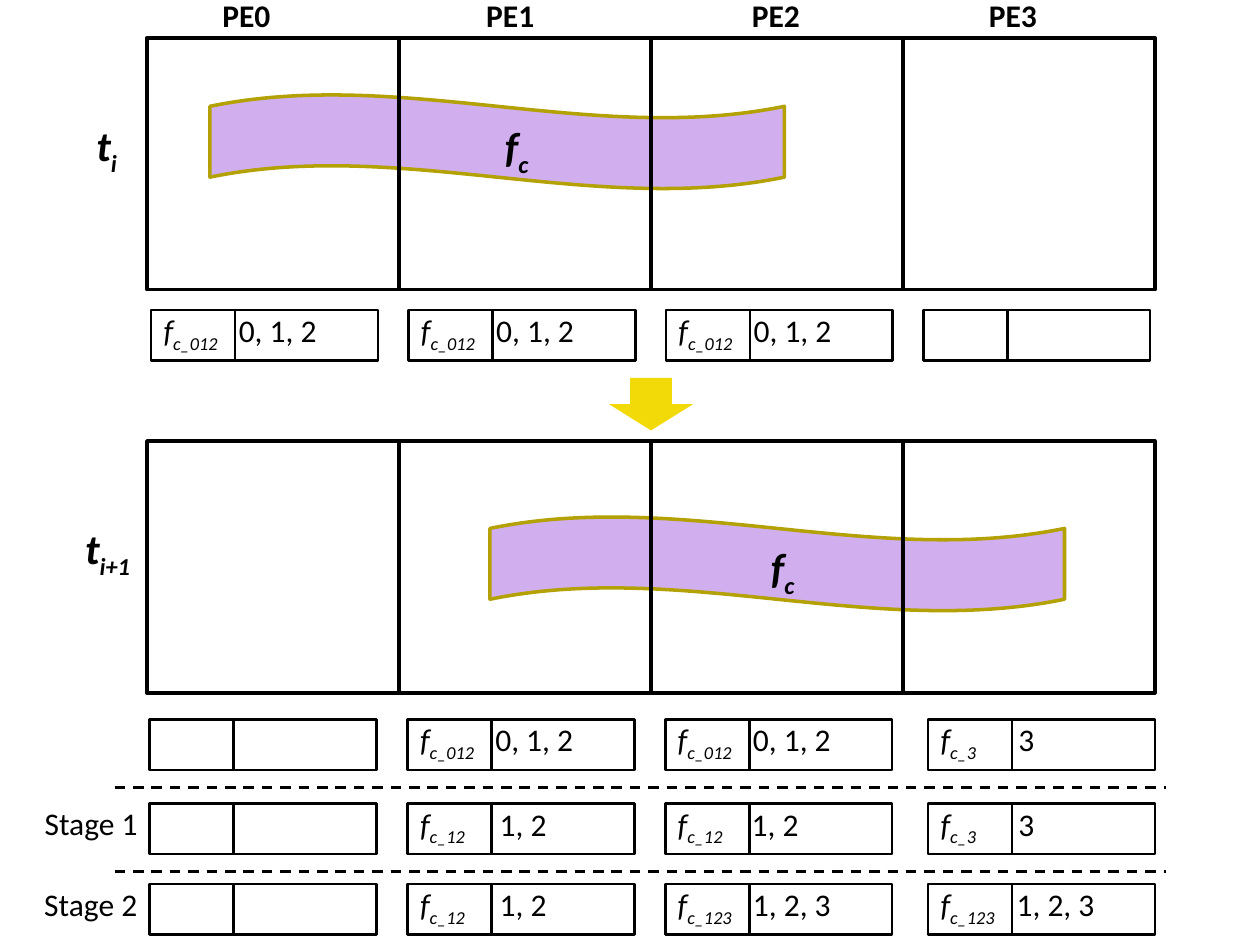
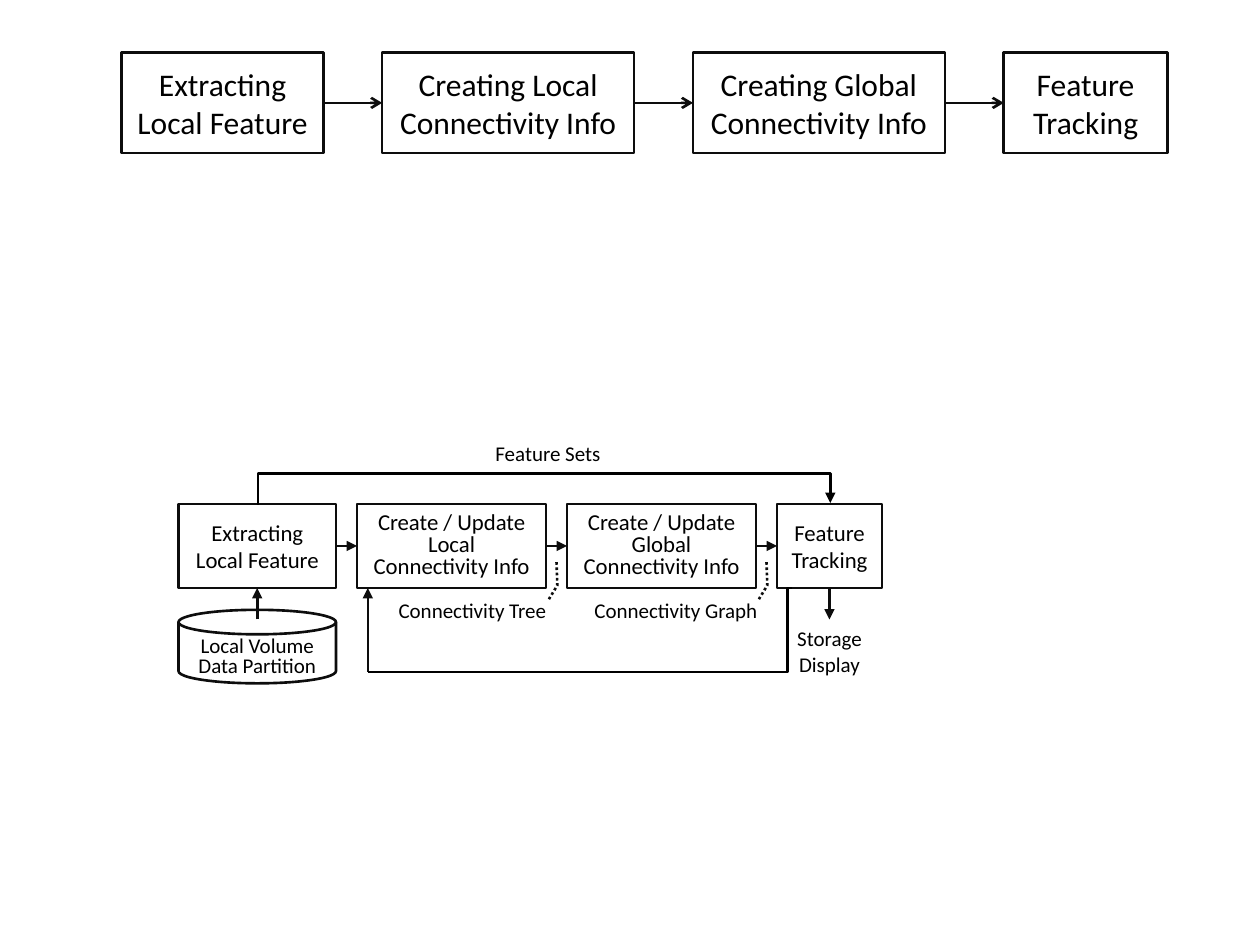
"""Build two slides: feature tracking across processors and its pipeline."""
from lxml import etree
from pptx import Presentation
from pptx.dml.color import RGBColor
from pptx.enum import dml, shapes, text
from pptx.oxml import ns
from pptx.util import Pt

BLACK = RGBColor(0x00, 0x00, 0x00)
INK = RGBColor(0x0D, 0x0D, 0x0D)
WHITE = RGBColor(0xFF, 0xFF, 0xFF)
LILAC = RGBColor(0xD1, 0xAE, 0xED)
OLIVE = RGBColor(0xB3, 0xA1, 0x06)
YELLOW = RGBColor(0xF2, 0xD9, 0x08)
KIND = shapes.MSO_SHAPE
STRAIGHT, ELBOW = shapes.MSO_CONNECTOR.STRAIGHT, shapes.MSO_CONNECTOR.ELBOW
CENTER, MIDDLE = text.PP_ALIGN.CENTER, text.MSO_ANCHOR.MIDDLE
GROW = text.MSO_AUTO_SIZE.SHAPE_TO_FIT_TEXT
DASH, DOTS = dml.MSO_LINE.DASH, dml.MSO_LINE.ROUND_DOT

PANEL_X, PANEL = 84, 144
STEPS = [
    {"top": 21.6, "wave": (120, 54), "feature": (281.5, 65.5), "time": (48, 64.8, ("t", "i"))},
    {"top": 252, "wave": (280, 295.2), "feature": (433.5, 306), "time": (41.5, 295.2, ("t", "i+1"))},
]
HEADINGS = [("PE0", 120), ("PE1", 270.8), ("PE2", 422.6), ("PE3", 558)]
TOP_COLUMNS = [86.4, 233.5, 380.6, 527.7]
LOW_COLUMNS = [85.6, 233, 380.2, 530.4]
ALL = ("c_012", "0, 1, 2", 43)
LAST = ("c_3", "3", 44.5)
RECORD_ROWS = [
    (177.2, TOP_COLUMNS, [ALL, ALL, ALL, None]),
    (411.2, LOW_COLUMNS, [None, ALL, ALL, LAST]),
    (459.2, LOW_COLUMNS, [None, ("c_12", "1, 2", 45.5), ("c_12", "1, 2", 42.3), LAST]),
    (505.2, LOW_COLUMNS, [None, ("c_12", "1, 2", 45.5), ("c_123", "1, 2, 3", 43),
                          ("c_123", "1, 2, 3", 43.5)]),
]
RECORD_W, RECORD_H, KEY_W = 129.6, 28.8, 48
STAGES = [("Stage 1", 18.4, 455.9), ("Stage 2", 18.2, 502)]
DIVIDERS = [450, 498]

EXTRACT, TRACK = ["Extracting", "Local Feature"], ["Feature", "Tracking"]
PIPELINES = [
    {"x": 69.6, "y": 30, "h": 57.6, "gap": 33.6, "size": 18, "head": "arrow", "fill": None,
     "boxes": [(115.2, EXTRACT, 1), (144, ["Creating Local Connectivity Info"], 1),
               (144, ["Creating Global Connectivity Info"], 1), (93.6, TRACK, 1)]},
    {"x": 102, "y": 288, "h": 48, "gap": 12, "size": 13, "head": "triangle", "fill": WHITE,
     "boxes": [(90, EXTRACT, 1),
               (108, ["Create / Update Local", "Connectivity Info"], 0.8),
               (108, ["Create / Update Global", "Connectivity Info"], 0.8),
               (60, TRACK, 1)]},
]
NOTES = [
    (276, 248.4, 96, ["Feature Sets"], None),
    (216, 337.7, 108, ["Connectivity Tree"], CENTER),
    (324, 337.7, 124.6, ["Connectivity Graph"], CENTER),
    (444, 354.2, 60, ["Storage", "Display"], CENTER),
]
VERTICAL_ARROWS = [(147, 354, 336), (474, 336, 354), (210.2, 384, 336)]
CALLOUT_X = [250.8, 370.8]
CALLOUT_BENDS = [0.5, -0.31, 0.83, -0.41, 1.42, -0.4]


def apply(target, values):
    for name, value in values.items():
        setattr(target, name, value)


def box(parent, kind, x, y, w, h, fill=None, line=INK, width=1.5):
    s = parent.add_shape(kind, Pt(x), Pt(y), Pt(w), Pt(h))
    s.shadow.inherit = False
    for part, color in ((s.fill, fill), (s.line.fill, line)):
        if color is None:
            part.background()
        else:
            part.solid()
            part.fore_color.rgb = color
    if line is not None:
        s.line.width = Pt(width)
    return s


def write(s, paragraphs, size, align=None, spacing=1, frame=None, **font):
    tf = s.text_frame
    apply(tf, {"word_wrap": True, **(frame or {})})
    for i, pieces in enumerate(paragraphs):
        p = tf.add_paragraph() if i else tf.paragraphs[0]
        apply(p, {"alignment": align, "line_spacing": spacing})
        for level, piece in enumerate((pieces,) if isinstance(pieces, str) else pieces):
            r = p.add_run()
            r.text = piece
            apply(r.font, {"name": "Calibri", "size": Pt(size), **font})
            r.font.color.rgb = BLACK
            if level == 1:
                r.font._element.set("baseline", "-25000")
            elif level == 2:
                r.font.italic = False
    return tf


def label(parent, x, y, w, h, paragraphs, size, wrap=False, **style):
    s = parent.add_textbox(Pt(x), Pt(y), Pt(w), Pt(h))
    return write(s, paragraphs, size, frame={"word_wrap": wrap, "auto_size": GROW}, **style)


def link(parent, x1, y1, x2, y2, color=INK, head=None, dash=None, kind=STRAIGHT, bend=None):
    s = parent.add_connector(kind, Pt(x1), Pt(y1), Pt(x2), Pt(y2))
    s.line.color.rgb = color
    s.line.width = Pt(1.5)
    if dash is not None:
        s.line.dash_style = dash
    if head:
        etree.SubElement(s.line._get_or_add_ln(), ns.qn("a:tailEnd"), type=head)
    pr = s._element.spPr
    etree.SubElement(pr, ns.qn("a:effectLst"))
    if bend is not None:
        guides = pr.find(ns.qn("a:prstGeom")).get_or_add_avLst()
        etree.SubElement(guides, ns.qn("a:gd"), name="adj1", fmla=f"val {round(bend * 100000)}")
    return s


def record(parent, x, y, entry):
    group = parent.add_group_shape().shapes
    if entry:
        name, owners, tab = entry
        tf = label(group, x, y - 3, RECORD_W, RECORD_H, [("f", name, "\t" + owners)], 18,
                   wrap=True, italic=True)
        stops = etree.SubElement(tf.paragraphs[0]._p.get_or_add_pPr(), ns.qn("a:tabLst"))
        etree.SubElement(stops, ns.qn("a:tab"), pos=str(Pt(tab)), algn="l")
    box(group, KIND.RECTANGLE, x, y, RECORD_W, RECORD_H, line=BLACK)
    link(group, x + KEY_W, y, x + KEY_W, y + RECORD_H, BLACK)


def pipeline(parent, x, y, h, gap, size, head, fill, boxes):
    for i, (w, lines, spacing) in enumerate(boxes):
        s = box(parent, KIND.RECTANGLE, x, y, w, h, fill)
        write(s, lines, size, CENTER, spacing, {"vertical_anchor": MIDDLE})
        if i:
            link(parent, x - gap, y + h / 2, x, y + h / 2, head=head)
        x += w + gap


def tracking_slide(sp):
    for step in STEPS:
        box(sp, KIND.WAVE, *step["wave"], 328.3, 54, LILAC, OLIVE, 2)
        for i in range(4):
            box(sp, KIND.RECTANGLE, PANEL_X + i * PANEL, step["top"], PANEL, PANEL,
                line=BLACK, width=2)
        label(sp, *step["feature"], 28.8, 36, [("f", "c")], 24, bold=True, italic=True)
        x, y, name = step["time"]
        label(sp, x, y, 27 if len(name[1]) == 1 else 43, 36, [name], 24, bold=True, italic=True)
    for name, x in HEADINGS:
        label(sp, x, -5.8, 42, 28.8, [name], 18, bold=True)
    box(sp, KIND.DOWN_ARROW, 348, 216, 48, 30, YELLOW, None)
    for y, columns, entries in RECORD_ROWS:
        for x, entry in zip(columns, entries):
            record(sp, x, y, entry)
    for y in DIVIDERS:
        link(sp, 65.5, y, 666, y, BLACK, dash=DASH)
    for name, x, y in STAGES:
        label(sp, x, y, 68.4, 28.8, [name], 18)


def pipeline_slide(sp):
    disk = box(sp, KIND.FLOWCHART_MAGNETIC_DISK, 102, 348.5, 90, 42, WHITE)
    write(disk, ["Local Volume Data Partition"], 12, CENTER, 0.8,
          {"vertical_anchor": MIDDLE, "margin_top": Pt(8.5)})
    for row in PIPELINES:
        pipeline(sp, **row)
    for x, y, w, lines, align in NOTES:
        label(sp, x, y, w, 21.6, lines, 12, wrap=True, align=align)
    for x in CALLOUT_X:
        s = box(sp, KIND.LINE_CALLOUT_2_NO_BORDER, x, 330.4, 48, 24)
        for i, bend in enumerate(CALLOUT_BENDS):
            s.adjustments[i] = bend
        s.rotation = 180
        s.line.dash_style = DOTS
    for x, start, end in VERTICAL_ARROWS:
        link(sp, x, start, x, end, head="triangle")
    feature_sets = link(sp, 311.5, 451.5, 310.5, 124.5, BLACK, "triangle", kind=ELBOW, bend=18)
    feature_sets._element.spPr.xfrm.set("rot", "5400000")
    link(sp, 452.6, 336, 210.2, 384, BLACK, kind=ELBOW, bend=0.01)


prs = Presentation()
apply(prs, {"slide_width": Pt(720), "slide_height": Pt(540)})
for draw in (tracking_slide, pipeline_slide):
    draw(prs.slides.add_slide(prs.slide_layouts[6]).shapes)
prs.save("out.pptx")
